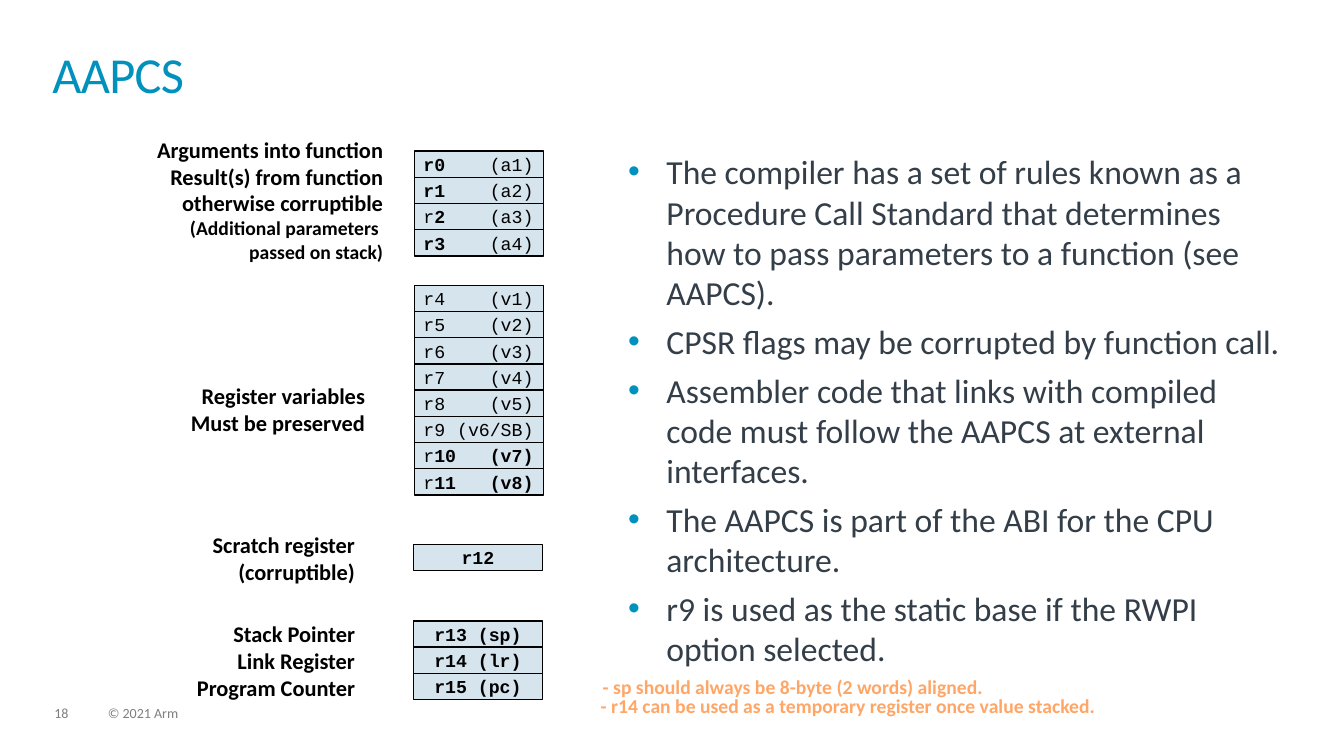
from dataclasses import dataclass

from lxml import etree
from pptx import Presentation
from pptx.dml.color import RGBColor
from pptx.enum.shapes import MSO_SHAPE
from pptx.enum.text import MSO_ANCHOR, MSO_AUTO_SIZE, PP_ALIGN
from pptx.oxml.ns import qn
from pptx.util import Inches, Pt

RECTANGLE = MSO_SHAPE.RECTANGLE
TOP, MIDDLE = MSO_ANCHOR.TOP, MSO_ANCHOR.MIDDLE
LEFT, CENTER, RIGHT = PP_ALIGN.LEFT, PP_ALIGN.CENTER, PP_ALIGN.RIGHT
NO_AUTO_SIZE = MSO_AUTO_SIZE.NONE
TITLE_ONLY_LAYOUT = 5


@dataclass(frozen=True)
class Theme:
    accent: str = "0091BD"
    body: str = "333E48"
    black: str = "000000"
    note: str = "FFA666"
    footer: str = "7F7F7F"
    cell: str = "D6E4EE"
    text_font: str = "Calibri"
    code_font: str = "Courier New"
    title_size: int = 36
    body_size: int = 24
    label_size: int = 16
    small_size: int = 14
    code_size: int = 13
    footer_size: int = 10


THEME = Theme()
ROW_HEIGHT = 0.26
CELL_WIDTH = 1.28
ALIAS_TAB = 1.09

# Each block: left, top, alignment, rows; asterisks enclose bold text
REGISTER_BLOCKS = [
    (4.11, 1.5, LEFT, ["*r0*\t(a1)", "*r1*\t(a2)", "r*2*\t(a3)", "*r3*\t(a4)"]),
    (4.11, 2.83, LEFT, ["r4\t(v1)", "r5\t(v2)", "r6\t(v3)", "r7\t(v4)", "r8\t(v5)",
                        "r9\t(v6/SB)", "r*10\t(v7)*", "r*11\t(v8)*"]),
    (4.1, 5.4, CENTER, ["*r12*"]),
    (4.1, 6.16, CENTER, ["*r13 (sp)*", "*r14 (lr)*", "*r15 (pc)*"]),
]

# Each label: box, lines at label size, lines at small size
LABELS = [
    ((1.11, 1.29, 2.79, 1.38),
     ["Arguments into function", "Result(s) from function", "otherwise corruptible"],
     ["(Additional parameters ", "passed on stack)"]),
    ((0.39, 3.74, 3.33, 0.64), ["Register variables", "Must be preserved"], []),
    ((0.84, 5.22, 2.78, 0.64), ["Scratch register", "(corruptible)"], []),
    ((0.84, 6.1, 2.78, 0.91), ["Stack Pointer\vLink Register", "Program Counter"], []),
]

RULES = [
    "The compiler has a set of rules known as a Procedure Call Standard that determines "
    "how to pass parameters to a function (see AAPCS).",
    "CPSR flags may be corrupted by function call.",
    "Assembler code that links with compiled code must follow the AAPCS at external interfaces.",
    "The AAPCS is part of the ABI for the CPU architecture.",
    "r9 is used as the static base if the RWPI option selected.",
]

NOTES = [
    ((5.88, 6.69, 6.33, 0.25), "- sp should always be 8-byte (2 words) aligned."),
    ((5.86, 6.88, 6.33, 0.25), "- r14 can be used as a temporary register once value stacked."),
]

FOOTERS = [
    ((0.54, 7.01, 0.34, 0.15), "18"),
    ((1.07, 7.01, 5.07, 0.15), "© 2021 Arm"),
]


def style_font(font, size, color, bold=False, name=THEME.text_font):
    font.name = name
    font.size = Pt(size)
    font.bold = bold
    font.color.rgb = RGBColor.from_string(color)


def set_frame(text_frame, anchor, margin_x=0, margin_y=0):
    text_frame.word_wrap = True
    text_frame.auto_size = NO_AUTO_SIZE
    text_frame.vertical_anchor = anchor
    text_frame.margin_left = text_frame.margin_right = Inches(margin_x)
    text_frame.margin_top = text_frame.margin_bottom = Inches(margin_y)


def add_text(slide, box, lines, anchor=TOP, margin_x=0, margin_y=0):
    text_frame = slide.shapes.add_textbox(*map(Inches, box)).text_frame
    set_frame(text_frame, anchor, margin_x, margin_y)
    text_frame.text = "\n".join(lines)
    return text_frame.paragraphs


def add_bullet(paragraph, indent):
    properties = paragraph._p.get_or_add_pPr()
    properties.set("marL", str(Inches(indent)))
    properties.set("indent", str(-Inches(indent)))
    color = etree.SubElement(properties, qn("a:buClr"))
    etree.SubElement(color, qn("a:srgbClr"), val=THEME.accent)
    etree.SubElement(properties, qn("a:buFont"), typeface="Arial")
    etree.SubElement(properties, qn("a:buChar"), char="•")


def add_right_tab(paragraph, position):
    tabs = etree.SubElement(paragraph._p.get_or_add_pPr(), qn("a:tabLst"))
    etree.SubElement(tabs, qn("a:tab"), pos=str(Inches(position)), algn="r")


def add_title(slide, box, text):
    title = slide.shapes.title
    title.left, title.top, title.width, title.height = map(Inches, box)
    set_frame(title.text_frame, TOP)
    title.text_frame.text = text
    paragraph = title.text_frame.paragraphs[0]
    paragraph.alignment = LEFT
    paragraph.line_spacing = 0.85
    run = paragraph.runs[0]
    style_font(run.font, THEME.title_size, THEME.accent)
    run._r.get_or_add_rPr().set("spc", "-50")


def add_rules(slide, box):
    for index, paragraph in enumerate(add_text(slide, box, RULES)):
        add_bullet(paragraph, 0.38)
        if index:
            paragraph.space_before = Pt(6)
        style_font(paragraph.runs[0].font, THEME.body_size, THEME.body)


def add_label(slide, box, lines, small_lines):
    paragraphs = add_text(slide, box, lines + small_lines, MIDDLE, 0.1, 0.05)
    for index, paragraph in enumerate(paragraphs):
        paragraph.alignment = RIGHT
        size = THEME.label_size if index < len(lines) else THEME.small_size
        for run in paragraph.runs:
            style_font(run.font, size, THEME.black, bold=True)


def add_register_block(slide, left, top, alignment, rows):
    for index, row in enumerate(rows):
        box = (left, top + index * ROW_HEIGHT, CELL_WIDTH, ROW_HEIGHT)
        cell = slide.shapes.add_shape(RECTANGLE, *map(Inches, box))
        cell.shadow.inherit = False
        cell.fill.solid()
        cell.fill.fore_color.rgb = RGBColor.from_string(THEME.cell)
        cell.line.color.rgb = RGBColor.from_string(THEME.black)
        cell.line.width = Pt(1)
        set_frame(cell.text_frame, MIDDLE, 0.09, 0.04)
        paragraph = cell.text_frame.paragraphs[0]
        paragraph.alignment = alignment
        if "\t" in row:
            add_right_tab(paragraph, ALIAS_TAB)
        for part, text in enumerate(row.split("*")):
            if text:
                run = paragraph.add_run()
                run.text = text
                style_font(run.font, THEME.code_size, THEME.black,
                           bold=part % 2 == 1, name=THEME.code_font)


def add_note(slide, box, text):
    paragraph = add_text(slide, box, [text], MIDDLE, 0.1, 0.05)[0]
    style_font(paragraph.runs[0].font, THEME.small_size, THEME.note, bold=True)


def add_footer(slide, box, text):
    paragraph = add_text(slide, box, [text])[0]
    paragraph.line_spacing = 0.9
    style_font(paragraph.runs[0].font, THEME.footer_size, THEME.footer)


def main():
    presentation = Presentation()
    presentation.slide_width = Inches(13.33)
    presentation.slide_height = Inches(7.5)
    slide = presentation.slides.add_slide(presentation.slide_layouts[TITLE_ONLY_LAYOUT])

    # Title and rules
    add_title(slide, (0.52, 0.52, 12.28, 0.72), "AAPCS")
    add_rules(slide, (6.23, 1.5, 6.53, 4.47))

    # Register map with its labels
    for label in LABELS:
        add_label(slide, *label)
    for block in REGISTER_BLOCKS:
        add_register_block(slide, *block)

    # Notes and footer
    for note in NOTES:
        add_note(slide, *note)
    for footer in FOOTERS:
        add_footer(slide, *footer)

    presentation.save("out.pptx")


if __name__ == "__main__":
    main()
